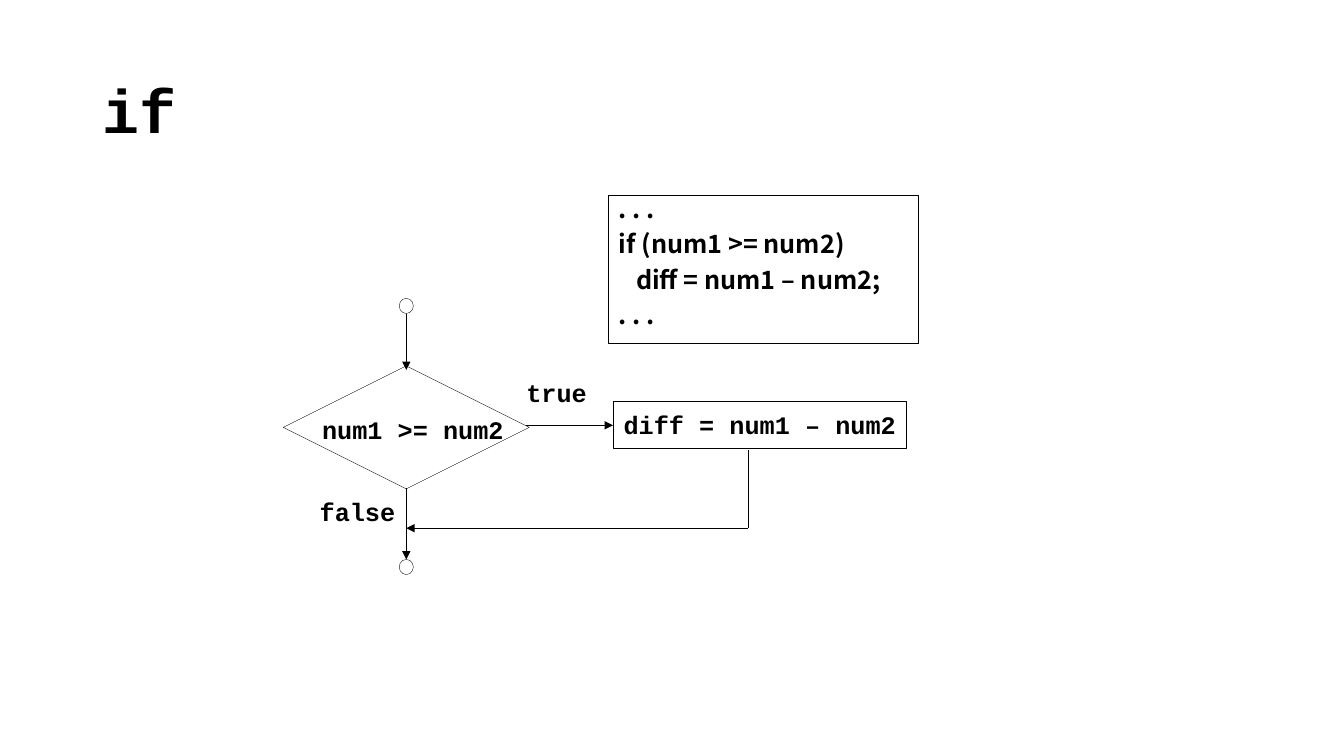
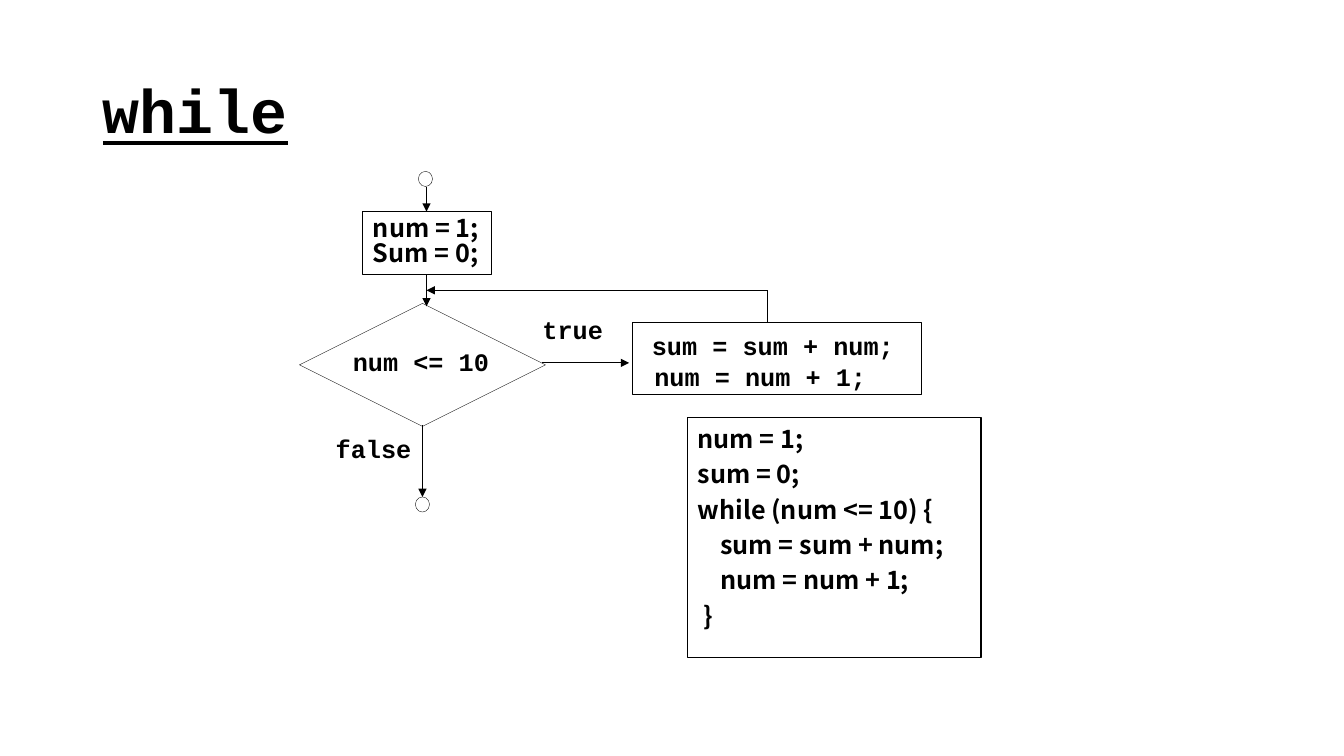
from dataclasses import dataclass

from lxml import etree
from pptx import Presentation
from pptx.dml.color import RGBColor
from pptx.enum.shapes import MSO_CONNECTOR, MSO_SHAPE
from pptx.enum.text import MSO_ANCHOR, MSO_AUTO_SIZE, PP_ALIGN
from pptx.oxml.ns import qn
from pptx.util import Inches, Pt

LEFT, CENTER = PP_ALIGN.LEFT, PP_ALIGN.CENTER
TOP, MIDDLE = MSO_ANCHOR.TOP, MSO_ANCHOR.MIDDLE
RECT, DIAMOND, OVAL = MSO_SHAPE.RECTANGLE, MSO_SHAPE.DIAMOND, MSO_SHAPE.OVAL
STRAIGHT = MSO_CONNECTOR.STRAIGHT
NO_FIT = MSO_AUTO_SIZE.NONE
TITLE_ONLY = 5


@dataclass(frozen=True)
class Theme:
    ink: RGBColor = RGBColor(0, 0, 0)
    paper: RGBColor = RGBColor(255, 255, 255)
    mono: str = "Courier New"
    sans: str = "Noto Sans CJK KR"
    title: float = 44
    body: float = 18
    thin: float = 0.25
    line: float = 0.75


@dataclass(frozen=True)
class Box:
    x: float
    y: float
    w: float
    h: float


@dataclass(frozen=True)
class Arrow:
    x1: float
    y1: float
    x2: float
    y2: float
    head: bool = True


@dataclass(frozen=True)
class Label:
    box: Box
    lines: tuple[str, ...]
    aligns: tuple[PP_ALIGN, ...] = (LEFT,)


@dataclass(frozen=True)
class Code:
    box: Box
    lines: tuple[str, ...]
    spacing: float = 0.75
    before: float = 9
    inset: float = 0.05
    wrap: bool = True


@dataclass(frozen=True)
class Flowchart:
    title: str
    underline: bool
    x: float  # left and top of the decision diamond
    y: float
    start: Box
    frame: Box
    labels: tuple[Label, ...]
    arrows: tuple[Arrow, ...]
    codes: tuple[Code, ...]


THEME = Theme()
DOT_W, DOT_H = 0.14, 0.15


def style(p, size: float, font: str) -> None:
    p.font.size, p.font.name, p.font.bold = Pt(size), font, True
    p.font.color.rgb = THEME.ink


def place(box: Box) -> tuple:
    return Inches(box.x), Inches(box.y), Inches(box.w), Inches(box.h)


def add_title(slide, text: str, underline: bool) -> None:
    sp = slide.shapes.title
    sp.left, sp.top, sp.width, sp.height = place(Box(0.92, 0.4, 11.5, 1.45))
    tf = sp.text_frame
    tf.text = text
    tf.auto_size, tf.vertical_anchor = NO_FIT, MIDDLE
    p = tf.paragraphs[0]
    p.alignment, p.line_spacing = LEFT, 0.9
    style(p, THEME.title, THEME.mono)
    if underline:
        p.font.underline = True


def add_outline(slide, kind: MSO_SHAPE, box: Box, width: float, filled: bool = False):
    sp = slide.shapes.add_shape(kind, *place(box))
    sp.shadow.inherit = False
    if filled:
        sp.fill.solid()
        sp.fill.fore_color.rgb = THEME.paper
    else:
        sp.fill.background()
    sp.line.color.rgb, sp.line.width = THEME.ink, Pt(width)
    return sp


def add_label(slide, label: Label) -> None:
    tf = slide.shapes.add_textbox(*place(label.box)).text_frame
    tf.word_wrap = True
    tf.margin_left = tf.margin_right = tf.margin_top = tf.margin_bottom = 0
    tf.text = "\n".join(label.lines)
    for p, align in zip(tf.paragraphs, label.aligns):
        p.alignment = align
        style(p, THEME.body, THEME.mono)


def add_code(slide, code: Code) -> None:
    tf = add_outline(slide, RECT, code.box, THEME.line).text_frame
    tf.word_wrap, tf.vertical_anchor = code.wrap, TOP
    tf.margin_top = tf.margin_bottom = Inches(code.inset)
    tf.text = "\n".join(code.lines)
    for i, p in enumerate(tf.paragraphs):
        p.alignment, p.line_spacing = LEFT, code.spacing
        if i and code.before:
            p.space_before = Pt(code.before)
        style(p, THEME.body, THEME.sans)


def add_arrow(slide, arrow: Arrow) -> None:
    ends = (Inches(v) for v in (arrow.x1, arrow.y1, arrow.x2, arrow.y2))
    cxn = slide.shapes.add_connector(STRAIGHT, *ends)
    cxn.line.color.rgb, cxn.line.width = THEME.ink, Pt(THEME.line)
    if arrow.head:
        etree.SubElement(cxn.line._get_or_add_ln(), qn("a:tailEnd"), type="triangle")
    etree.SubElement(cxn._element.spPr, qn("a:effectLst"))


def add_decision(slide, x: float, y: float) -> None:
    """Diamond with its two labelled branches and the end point."""
    add_outline(slide, DIAMOND, Box(x, y, 2.44, 1.22), THEME.thin, filled=True)
    add_outline(slide, OVAL, Box(x + 1.15, y + 1.92, DOT_W, DOT_H), THEME.thin)
    add_label(slide, Label(Box(x + 2.41, y + 0.11, 0.71, 0.31), ("true",)))
    add_label(slide, Label(Box(x + 0.36, y + 1.29, 0.91, 0.38), ("false",)))
    add_arrow(slide, Arrow(x + 2.41, y + 0.59, x + 3.27, y + 0.59))
    add_arrow(slide, Arrow(x + 1.22, y + 1.21, x + 1.22, y + 1.92))


def add_flowchart(prs, chart: Flowchart) -> None:
    slide = prs.slides.add_slide(prs.slide_layouts[TITLE_ONLY])
    add_title(slide, chart.title, chart.underline)
    add_decision(slide, chart.x, chart.y)
    add_outline(slide, OVAL, chart.start, THEME.thin)
    add_outline(slide, RECT, chart.frame, THEME.thin)
    for label in chart.labels:
        add_label(slide, label)
    for arrow in chart.arrows:
        add_arrow(slide, arrow)
    for code in chart.codes:
        add_code(slide, code)


CHARTS = (
    # Conditional branch
    Flowchart(
        "if", False, 2.81, 3.63,
        start=Box(3.96, 2.96, DOT_W, DOT_H),
        frame=Box(6.08, 3.98, 2.91, 0.47),
        labels=(
            Label(Box(2.96, 4.11, 2.27, 0.28), ("num1 >= num2",), (CENTER,)),
            Label(Box(6, 4.06, 3.07, 0.32), ("diff = num1 – num2",), (CENTER,)),
        ),
        arrows=(
            Arrow(4.03, 3.12, 4.03, 3.67),
            Arrow(7.42, 4.46, 7.42, 5.24, head=False),
            Arrow(7.42, 5.24, 4.03, 5.24),
        ),
        codes=(
            Code(Box(6.04, 1.94, 3.07, 1.47),
                 (". . .", "if (num1 >= num2)", "   diff = num1 – num2;", ". . .")),
        ),
    ),
    # Loop
    Flowchart(
        "while", True, 2.97, 3.01,
        start=Box(4.15, 1.7, DOT_W, DOT_H),
        frame=Box(6.27, 3.2, 2.87, 0.71),
        labels=(
            Label(Box(3.04, 3.44, 2.27, 0.28), ("num <= 10",), (CENTER,)),
            Label(Box(6.19, 3.28, 2.95, 0.55),
                  ("sum = sum + num;", "  num = num + 1;"), (CENTER, LEFT)),
        ),
        arrows=(
            Arrow(4.23, 1.86, 4.23, 2.1),
            Arrow(4.23, 2.73, 4.23, 3.04),
            Arrow(7.61, 3.2, 7.61, 2.88, head=False),
            Arrow(7.61, 2.88, 4.23, 2.88),
        ),
        codes=(
            Code(Box(3.6, 2.1, 1.28, 0.62), ("num = 1;", "Sum = 0;"),
                 spacing=0.85, before=0, wrap=False),
            Code(Box(6.82, 4.14, 2.91, 2.38),
                 ("num = 1;", "sum = 0;", "while (num <= 10) {",
                  "    sum = sum + num;", "    num = num + 1;", " }"),
                 inset=0.13),
        ),
    ),
)


def main() -> None:
    prs = Presentation()
    prs.slide_width, prs.slide_height = Inches(13.33), Inches(7.5)
    for chart in CHARTS:
        add_flowchart(prs, chart)
    prs.save("out.pptx")


if __name__ == "__main__":
    main()
